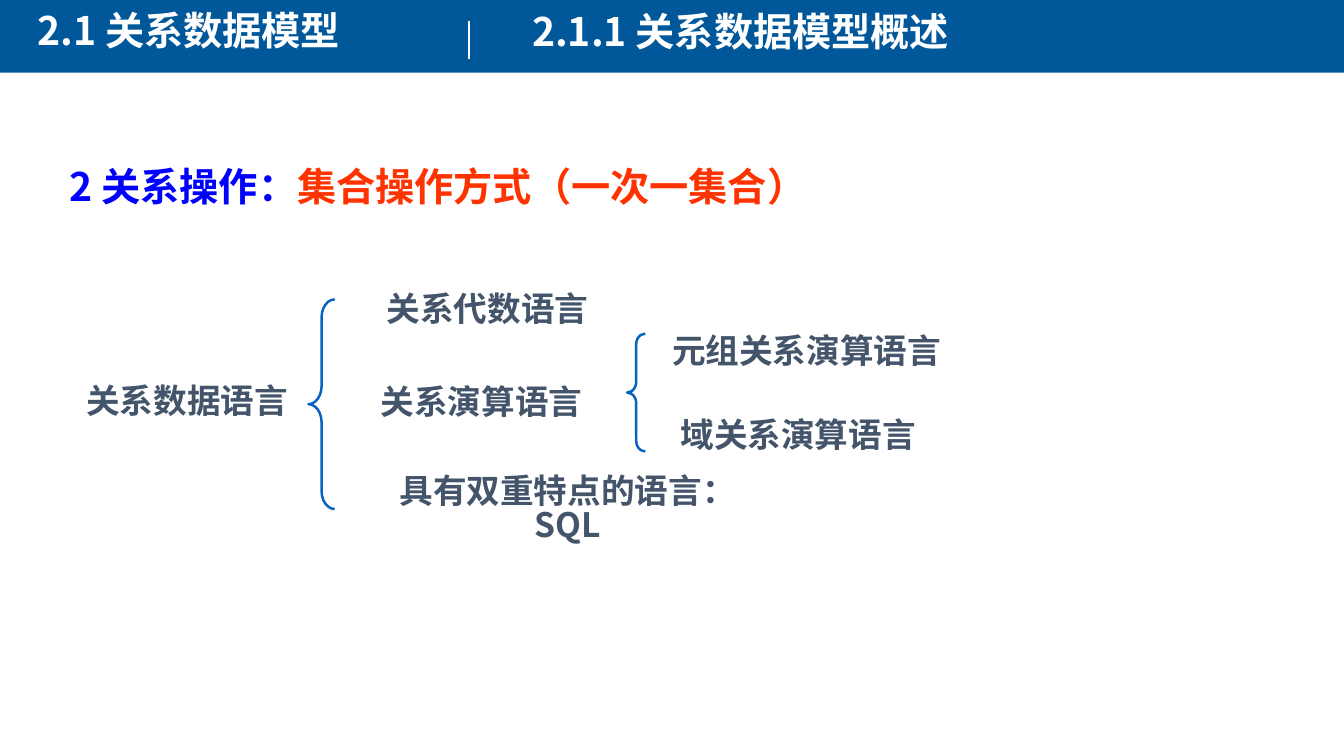
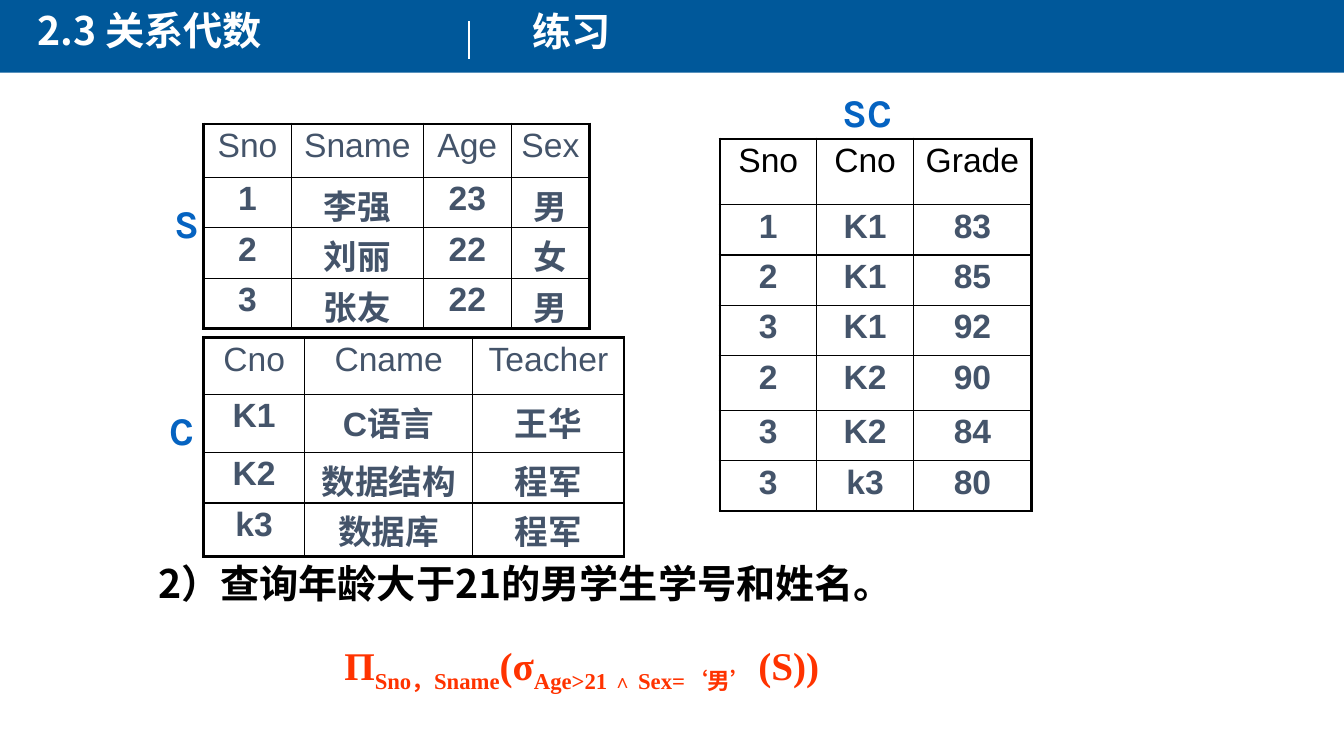
from lxml.etree import SubElement as Sub
from pptx import Presentation
from pptx.dml.color import RGBColor as Rgb
from pptx.enum.shapes import MSO_CONNECTOR as Conn, MSO_SHAPE as Shape
from pptx.enum.text import MSO_ANCHOR as Anchor, PP_ALIGN as Align
from pptx.oxml.ns import qn
from pptx.util import Inches, Pt

# Shared look
COLORS = {
    "band": "00589A", "white": "FFFFFF", "black": "000000", "slate": "44546A",
    "link": "0563C1", "blue": "0000FF", "red": "FF3300",
}
CJK = "Noto Sans CJK SC"
THIN, THICK = 1, 2.25


def color(name):
    return Rgb.from_string(COLORS[name])


def style(run, size, tint, face=CJK, bold=True, base=0):
    font = run.font
    font.size, font.bold, font.name = Pt(size), bold, face
    font.color.rgb = color(tint)
    props = run._r.get_or_add_rPr()
    Sub(props, qn("a:ea")).set("typeface", CJK)
    if base:
        props.set("baseline", str(base * 1000))


def place(shape, box):
    shape.left, shape.top, shape.width, shape.height = map(Inches, box)


def fill_text(shape, text, size, tint, align=Align.LEFT, anchor=Anchor.TOP,
              face=CJK, wrap=True):
    frame = shape.text_frame
    frame.text = text
    frame.word_wrap, frame.vertical_anchor = wrap, anchor
    para = frame.paragraphs[0]
    para.alignment = align
    style(para.runs[0], size, tint, face)
    return para


def add_text(slide, box, text, size, tint, **look):
    shape = slide.shapes.add_textbox(*map(Inches, box))
    return fill_text(shape, text, size, tint, **look)


def add_run(para, text, size, tint, **look):
    run = para.add_run()
    run.text = text
    style(run, size, tint, **look)


def add_line(slide, start, end, tint, width):
    line = slide.shapes.add_connector(
        Conn.STRAIGHT, *map(Inches, start + end))
    line.line.color.rgb, line.line.width = color(tint), Pt(width)
    Sub(line._element.spPr, qn("a:effectLst"))


def add_brace(slide, box, curve):
    brace = slide.shapes.add_shape(Shape.LEFT_BRACE, *map(Inches, box))
    brace.shadow.inherit = False
    brace.fill.background()
    brace.line.color.rgb, brace.line.width = color("link"), Pt(1.75)
    brace.adjustments[0] = curve


def add_slide(deck, title, topic):
    slide = deck.slides.add_slide(deck.slide_layouts[5])
    band = slide.shapes.add_shape(
        Shape.RECTANGLE, 0, Inches(-0.02), deck.slide_width, Inches(0.74))
    band.shadow.inherit = False
    band.fill.solid()
    band.fill.fore_color.rgb = color("band")
    band.line.fill.background()
    # The title lies in front of the band
    head = slide.shapes.title
    band._element.addnext(head._element)
    place(head, (0.27, 0.01, 4.3, 0.66))
    fill_text(head, title, 28, "white")
    add_text(slide, (5.18, 0.02, 8.1, 0.66), topic, 28, "white")
    add_line(slide, (4.65, 0.21), (4.65, 0.59), "white", 1.5)
    return slide


def set_edge(cell, side, width):
    edge = Sub(cell._tc.get_or_add_tcPr(), qn("a:" + side), w=str(Pt(width)))
    paint = Sub(edge, qn("a:solidFill"))
    Sub(paint, qn("a:srgbClr"), val=COLORS["black"])


def add_grid(slide, spot, cols, rows, data, head="slate"):
    box = (*spot, sum(cols), sum(rows))
    table = slide.shapes.add_table(
        len(rows), len(cols), *map(Inches, box)).table
    table.first_row = table.horz_banding = False
    for col, width in zip(table.columns, cols):
        col.width = Inches(width)
    for row, height in zip(table.rows, rows):
        row.height = Inches(height)
    for i, line in enumerate(data):
        for j, text in enumerate(line):
            cell = table.cell(i, j)
            cell.text = text
            cell.margin_top, cell.margin_bottom = Inches(0.03), 0
            para = cell.text_frame.paragraphs[0]
            para.alignment = Align.CENTER
            style(para.runs[0], 24, "slate" if i else head, "Arial", i > 0)
            # Thick frame outside, thin lines inside
            outer = {"lnL": j == 0, "lnR": j == len(cols) - 1,
                     "lnT": i == 0, "lnB": i == len(rows) - 1}
            for side, thick in outer.items():
                set_edge(cell, side, THICK if thick else THIN)
            cell.fill.background()


def build_tree(deck):
    slide = add_slide(deck, "2.1 关系数据模型", "2.1.1 关系数据模型概述")
    para = add_text(slide, (0.59, 1.56, 9.08, 0.66), "2 关系操作：", 28, "blue")
    add_run(para, "集合操作方式（一次一集合）", 28, "red")

    # Language tree
    nodes = [
        ((0.75, 3.72, 2.21, 0.5), "关系数据语言"),
        ((3.73, 2.81, 2.21, 0.5), "关系代数语言"),
        ((3.67, 3.73, 2.21, 0.5), "关系演算语言"),
        ((6.56, 3.22, 2.88, 0.5), "元组关系演算语言"),
        ((6.64, 4.06, 2.55, 0.5), "域关系演算语言"),
    ]
    middle = {"align": Align.CENTER, "anchor": Anchor.MIDDLE}
    for box, text in nodes:
        add_text(slide, box, text, 24, "slate", wrap=False, **middle)
    dual = add_text(slide, (3.73, 4.56, 3.8, 1), "具有双重特点的语言：SQL",
                    24, "slate", **middle)
    dual.line_spacing = 0.85
    add_brace(slide, (3.06, 2.97, 0.26, 2.08), 0.69)
    add_brace(slide, (6.22, 3.31, 0.18, 1.17), 0.58)


def build_drill(deck):
    slide = add_slide(deck, "2.3 关系代数", "练习")

    # Relations
    add_grid(slide, (2.02, 1.23), (0.87, 1.31, 0.87, 0.78),
             (0.53, 0.5, 0.5, 0.5),
             [("Sno", "Sname", "Age", "Sex"), ("1", "李强", "23", "男"),
              ("2", "刘丽", "22", "女"), ("3", "张友", "22", "男")])
    add_grid(slide, (2.02, 3.35), (1, 1.67, 1.5), (0.56, 0.58, 0.5, 0.53),
             [("Cno", "Cname", "Teacher"), ("K1", "C语言", "王华"),
              ("K2", "数据结构", "程军"), ("k3", "数据库", "程军")])
    add_grid(slide, (7.14, 1.38), (0.96, 0.96, 1.17),
             (0.65, 0.5, 0.5, 0.5, 0.54, 0.5, 0.5),
             [("Sno", "Cno", "Grade"), ("1", "K1", "83"), ("2", "K1", "85"),
              ("3", "K1", "92"), ("2", "K2", "90"), ("3", "K2", "84"),
              ("3", "k3", "80")], head="black")
    for text, box in [("S", (1.63, 1.93, 0.45, 0.57)),
                      ("SC", (8.25, 0.83, 0.71, 0.57)),
                      ("C", (1.58, 3.98, 0.37, 0.57))]:
        add_text(slide, box, text, 28, "link", align=Align.CENTER,
                 face="Karla", wrap=False)

    # Question and answer
    add_text(slide, (1.47, 5.5, 9.17, 0.66),
             "2）查询年龄大于21的男学生学号和姓名。", 28, "black")
    serif = {"face": "Times New Roman"}
    para = add_text(slide, (2.87, 6.31, 5.8, 0.57), "П", 28, "red",
                    align=Align.CENTER, wrap=False, **serif)
    for text, size, bold, base in [
            ("Sno，Sname", 28, True, -25), ("(σ", 28, True, 0),
            ("Age>21 ", 28, True, -25), ("∧", 24, False, -25),
            (" Sex=‘男’ ", 28, True, -25), ("(S))", 28, True, 0)]:
        add_run(para, text, size, "red", bold=bold, base=base, **serif)


def main():
    deck = Presentation()
    deck.slide_width, deck.slide_height = Inches(13.33), Inches(7.5)
    build_tree(deck)
    build_drill(deck)
    deck.save("out.pptx")


if __name__ == "__main__":
    main()
